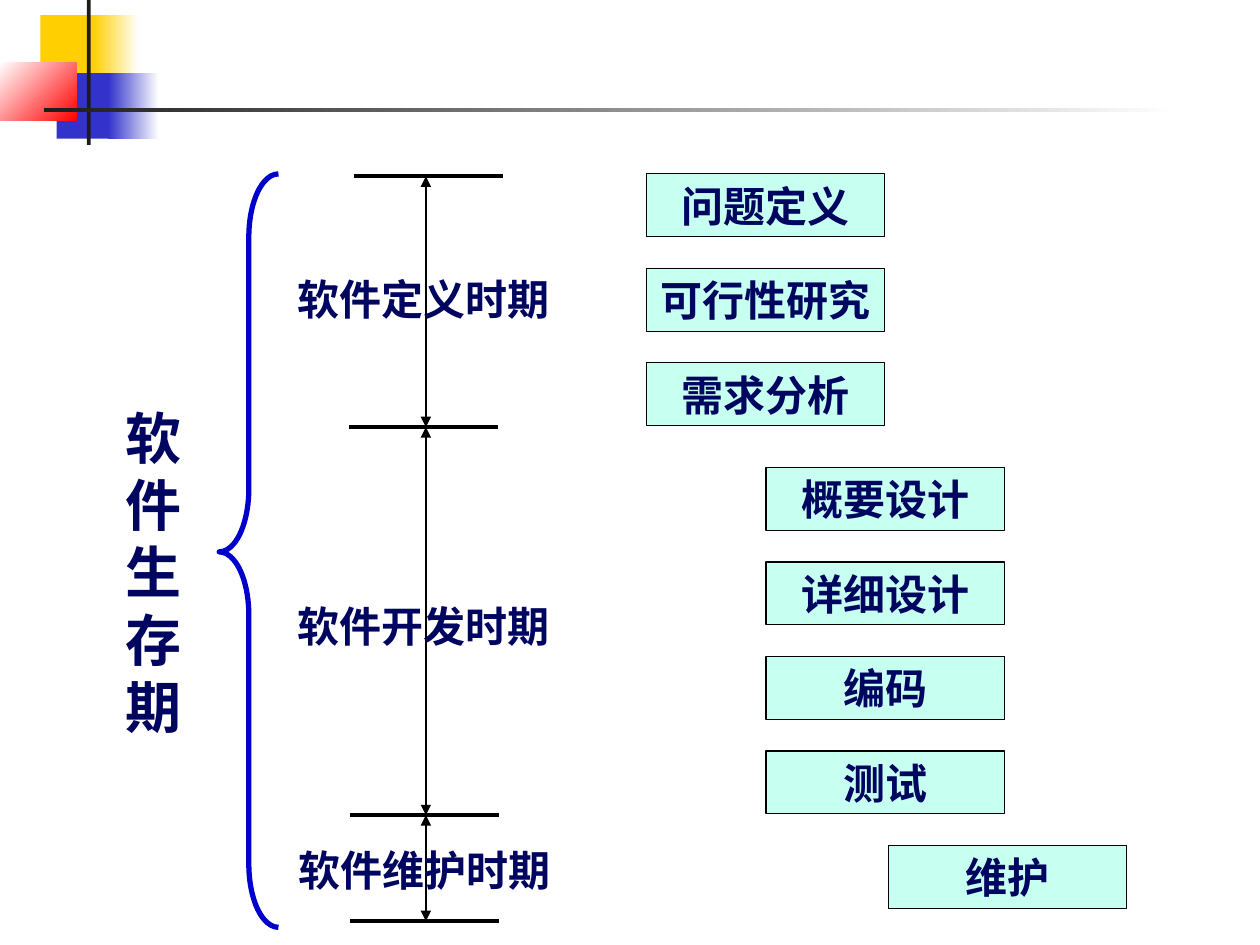
from dataclasses import dataclass
from typing import Optional

from lxml import etree
from pptx import Presentation
from pptx.dml.color import RGBColor
from pptx.enum.shapes import MSO_CONNECTOR, MSO_SHAPE
from pptx.enum.text import MSO_ANCHOR, PP_ALIGN
from pptx.oxml.ns import qn
from pptx.util import Inches, Pt

RECTANGLE = MSO_SHAPE.RECTANGLE
LEFT_BRACE = MSO_SHAPE.LEFT_BRACE
STRAIGHT = MSO_CONNECTOR.STRAIGHT
MIDDLE = MSO_ANCHOR.MIDDLE
CENTER, LEFT = PP_ALIGN.CENTER, PP_ALIGN.LEFT


@dataclass(frozen=True)
class Theme:
    font: str = "Noto Sans CJK SC"
    text: str = "000560"
    box: str = "C7FFF0"
    line: str = "000000"
    brace: str = "0000CC"
    yellow: str = "FFCF01"
    blue: str = "3333CC"
    red: str = "FF0000"
    dark: str = "1C1C1C"
    white: str = "FFFFFF"
    label_size: int = 24
    title_size: int = 32
    thin: float = 0.75
    tick: float = 2.25
    thick: float = 3


@dataclass(frozen=True)
class Block:
    left: float
    top: float
    width: float
    height: float
    color: str
    end_color: Optional[str] = None
    angle: int = 0


@dataclass(frozen=True)
class Period:
    name: str
    label_left: float
    label_top: float
    steps_left: float
    steps_top: float
    steps: tuple[str, ...]


THEME = Theme()

DECORATION = (
    Block(0.32, 0.12, 0.48, 0.52, THEME.yellow),
    Block(0.74, 0.12, 0.36, 0.52, THEME.yellow, THEME.white),
    Block(0.45, 0.58, 0.46, 0.52, THEME.blue),
    Block(0.86, 0.58, 0.40, 0.52, THEME.blue, THEME.white),
    Block(0, 0.5, 0.61, 0.46, THEME.white, THEME.red, 315),
    Block(0.69, 0, 0.03, 1.15, THEME.dark),
    Block(0.35, 0.86, 9, 0.03, THEME.dark, THEME.white),
)

PERIODS = (
    Period("软件定义时期", 2.26, 2.12, 5.13, 1.38,
           ("问题定义", "可行性研究", "需求分析")),
    Period("软件开发时期", 2.26, 4.72, 6.08, 3.71,
           ("概要设计", "详细设计", "编码", "测试")),
    Period("软件维护时期", 2.27, 6.65, 7.05, 6.71, ("维护",)),
)

# Left end and height of each period boundary
TICKS = ((2.81, 1.4), (2.77, 3.39), (2.78, 6.47), (2.78, 7.31))
TICK_WIDTH = 1.18
AXIS_X = 3.38
STEP_WIDTH, STEP_HEIGHT, STEP_PITCH = 1.89, 0.5, 0.75


def rgb(color: str) -> RGBColor:
    return RGBColor.from_string(color)


def add_block(page, block: Block):
    shape = page.shapes.add_shape(
        RECTANGLE, Inches(block.left), Inches(block.top),
        Inches(block.width), Inches(block.height))
    shape.shadow.inherit = False
    shape.line.fill.background()
    if block.end_color is None:
        shape.fill.solid()
        shape.fill.fore_color.rgb = rgb(block.color)
    else:
        shape.fill.gradient()
        shape.fill.gradient_angle = block.angle
        colors = (block.color, block.end_color)
        for stop, color in zip(shape.fill.gradient_stops, colors):
            stop.color.rgb = rgb(color)
    return shape


def write_text(shape, text: str, size: int, align=CENTER) -> None:
    frame = shape.text_frame
    frame.word_wrap = False
    frame.vertical_anchor = MIDDLE
    frame.text = text
    for para in frame.paragraphs:
        para.alignment = align
        for span in para.runs:
            span.font.size = Pt(size)
            span.font.bold = True
            span.font.name = THEME.font
            span.font.color.rgb = rgb(THEME.text)
            east_asian = etree.SubElement(span.font._element, qn("a:ea"))
            east_asian.set("typeface", THEME.font)


def add_label(page, left: float, top: float, width: float, height: float,
              text: str, size: int, align=CENTER):
    label = page.shapes.add_textbox(
        Inches(left), Inches(top), Inches(width), Inches(height))
    write_text(label, text, size, align)
    return label


def add_line(page, start: tuple[float, float], end: tuple[float, float],
             width: float, arrows: bool = False) -> None:
    line = page.shapes.add_connector(
        STRAIGHT, *(Inches(value) for value in start + end))
    line.line.color.rgb = rgb(THEME.line)
    line.line.width = Pt(width)
    if arrows:
        outline = line.line._get_or_add_ln()
        for tag in ("a:headEnd", "a:tailEnd"):
            etree.SubElement(outline, qn(tag)).set("type", "triangle")
    etree.SubElement(line._element.spPr, qn("a:effectLst"))


def add_step(page, left: float, top: float, name: str) -> None:
    box = add_block(page, Block(left, top, STEP_WIDTH, STEP_HEIGHT, THEME.box))
    box.line.color.rgb = rgb(THEME.line)
    box.line.width = Pt(THEME.thin)
    write_text(box, name, THEME.label_size)


def add_brace(page) -> None:
    width, height, curve, point = 0.47, 5.98, 0.5, 3.0
    brace = page.shapes.add_shape(
        LEFT_BRACE, Inches(1.74), Inches(1.38), Inches(width), Inches(height))
    brace.adjustments[0] = curve / width
    brace.adjustments[1] = point / height
    brace.shadow.inherit = False
    brace.fill.background()
    brace.line.color.rgb = rgb(THEME.brace)
    brace.line.width = Pt(THEME.thick)


def main() -> None:
    deck = Presentation()
    deck.slide_width, deck.slide_height = Inches(10), Inches(7.5)
    page = deck.slides.add_slide(deck.slide_layouts[6])

    # Corner decoration
    for block in DECORATION:
        add_block(page, block)

    # Steps of each period
    for period in PERIODS:
        for index, name in enumerate(period.steps):
            top = period.steps_top + index * STEP_PITCH
            add_step(page, period.steps_left, top, name)

    # Time axis with period labels
    for left, top in TICKS:
        add_line(page, (left, top), (left + TICK_WIDTH, top), THEME.tick)
    for period, (_, top), (_, bottom) in zip(PERIODS, TICKS, TICKS[1:]):
        add_line(page, (AXIS_X, top), (AXIS_X, bottom), THEME.thin, arrows=True)
        add_label(page, period.label_left, period.label_top, 2.2, 0.5,
                  period.name, THEME.label_size)

    # Whole life cycle
    add_brace(page)
    title = add_label(page, 0.9, 3.15, 0.64, 2.77, "\n".join("软件生存期"),
                      THEME.title_size, LEFT)
    for para in title.text_frame.paragraphs:
        para.line_spacing = Pt(THEME.title_size * 1.2)

    deck.save("out.pptx")


if __name__ == "__main__":
    main()
